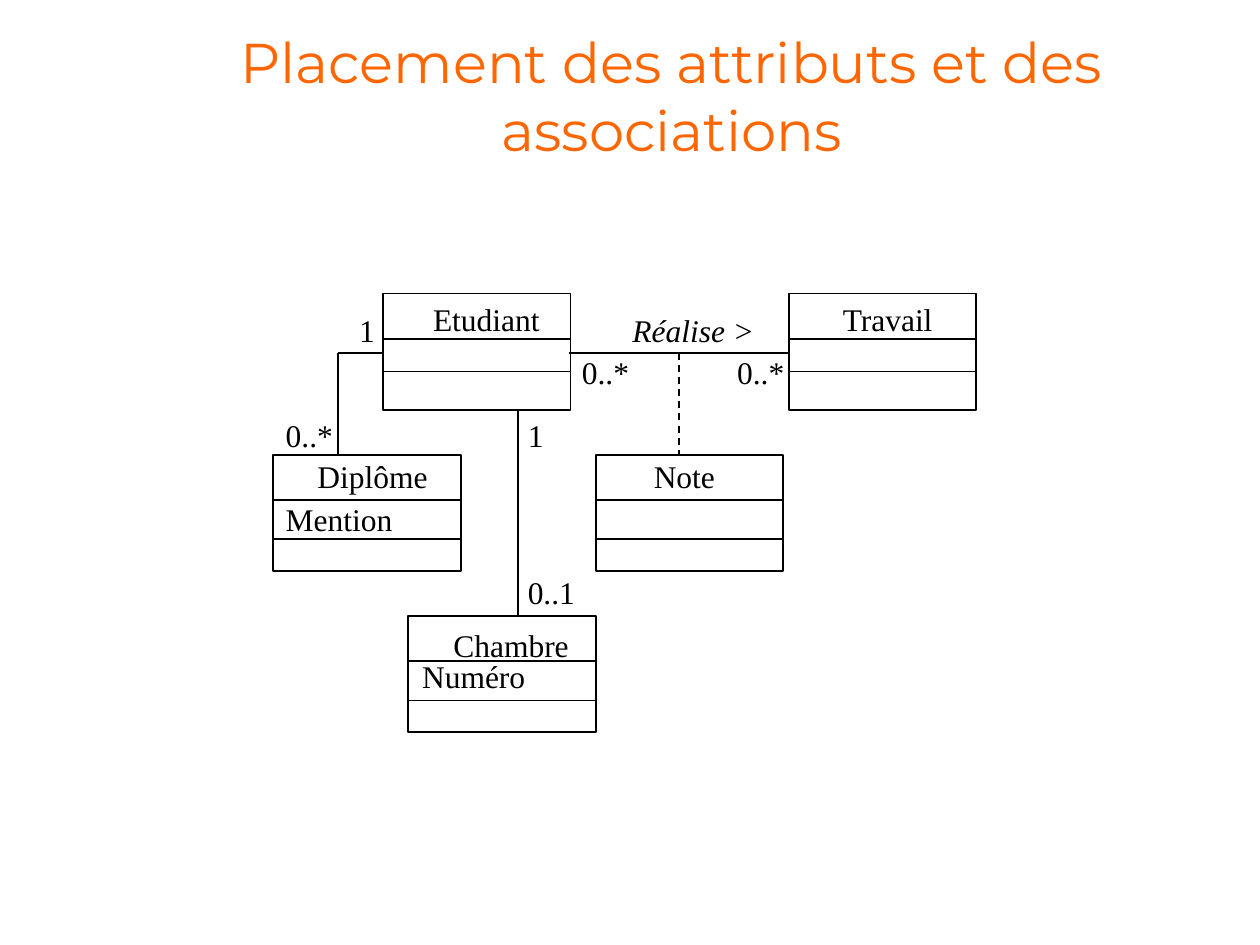
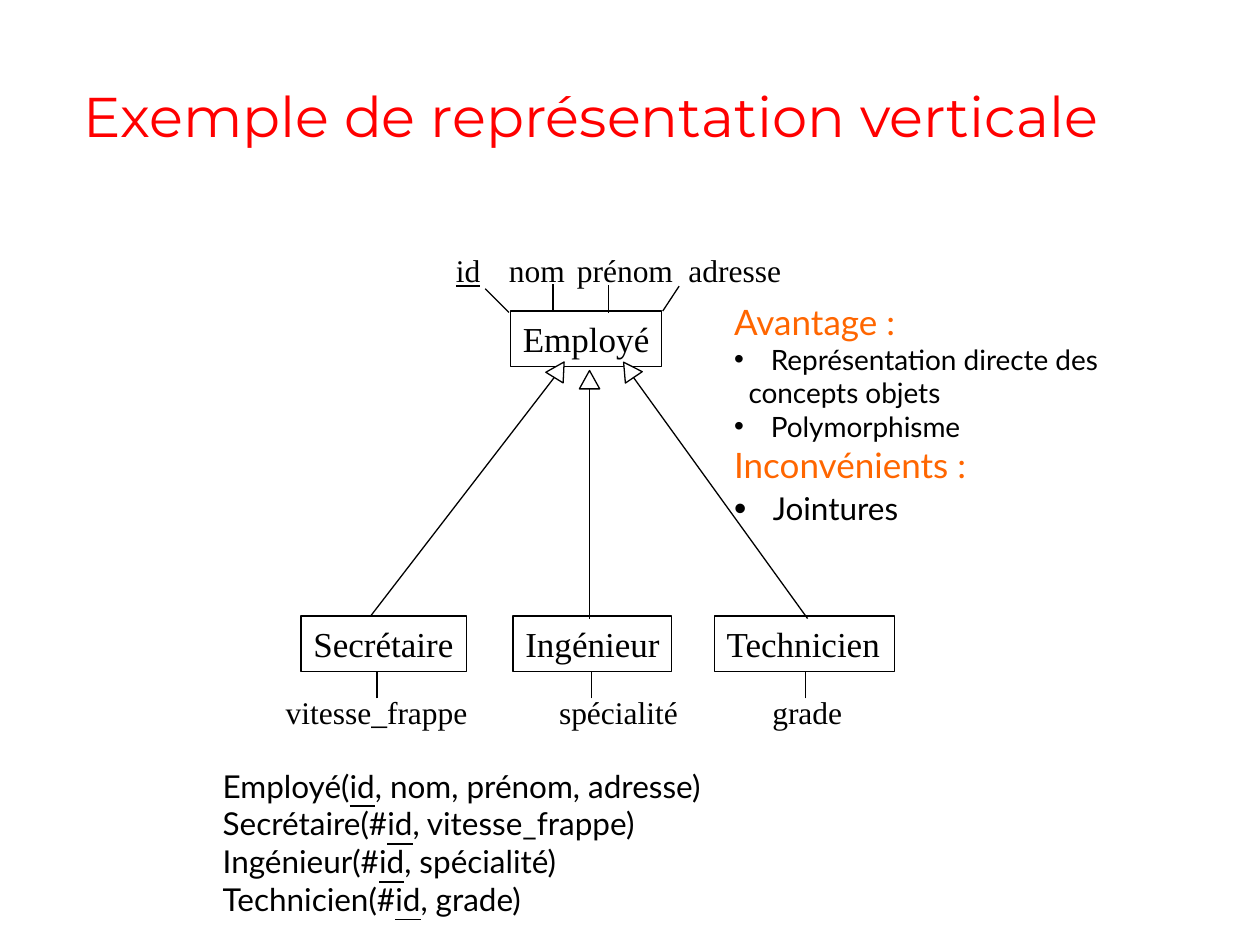
from dataclasses import dataclass

from lxml import etree
from pptx import Presentation
from pptx.dml.color import RGBColor
from pptx.enum.dml import MSO_LINE
from pptx.enum.shapes import MSO_CONNECTOR, MSO_SHAPE
from pptx.enum.text import MSO_ANCHOR, MSO_AUTO_SIZE, PP_ALIGN
from pptx.oxml.ns import qn
from pptx.util import Cm, Pt

RECT, STRAIGHT = MSO_SHAPE.RECTANGLE, MSO_CONNECTOR.STRAIGHT
DASH, FIXED = MSO_LINE.DASH, MSO_AUTO_SIZE.NONE
TOP, BOTTOM = MSO_ANCHOR.TOP, MSO_ANCHOR.BOTTOM
LEFT, CENTER = PP_ALIGN.LEFT, PP_ALIGN.CENTER


@dataclass(frozen=True)
class Theme:
    ink: str = "000000"
    paper: str = "FFFFFF"
    orange: str = "FF6600"
    red: str = "FF0000"
    head: str = "Montserrat"
    body: str = "Lato"
    serif: str = "Times New Roman"
    title: int = 32
    large: int = 20
    text: int = 18
    small: int = 16
    thick: float = 1
    thin: float = 0.75


T = Theme()
CLASS_W, CLASS_H, HEAD_H = 3.78, 2.34, 0.91
LABEL_H, BOX_H = 1.02, 1.12


def rgb(code):
    return RGBColor.from_string(code)


# Text: parts between bars are underlined
def write(para, text, font=T.serif, size=T.text, color=T.ink, italic=None,
          align=LEFT, indent=0, bullet=0, before=0):
    para.alignment = align
    if before:
        para.space_before = Pt(before)
    props = para._p.get_or_add_pPr()
    if indent:
        props.set("marL", str(Cm(indent)))
    if bullet:
        props.set("indent", str(-Cm(indent)))
        tint = etree.SubElement(props, qn("a:buClr"))
        etree.SubElement(tint, qn("a:srgbClr"), val=T.ink)
        etree.SubElement(props, qn("a:buSzPct"), val=str(bullet * 1000))
        etree.SubElement(props, qn("a:buFont"), typeface="Arial")
        etree.SubElement(props, qn("a:buChar"), char="•")
    for i, part in enumerate(text.split("|")):
        if not part:
            continue
        run = para.add_run()
        run.text = part
        run.font.name, run.font.size = font, Pt(size)
        run.font.color.rgb = rgb(color)
        run.font.italic = italic
        if i % 2:
            run.font.underline = True


def fit(frame):
    """Keep the text on its lines, with room to spare on the right."""
    frame.word_wrap = True
    frame.auto_size = FIXED
    frame.vertical_anchor = TOP
    frame.margin_right = 0


def block(slide, x, y, w, h, lines):
    box = slide.shapes.add_textbox(Cm(x), Cm(y), Cm(w), Cm(h))
    frame = box.text_frame
    fit(frame)
    for i, (text, style) in enumerate(lines):
        para = frame.add_paragraph() if i else frame.paragraphs[0]
        write(para, text, **style)


def label(slide, text, x, y, w, **style):
    block(slide, x, y, w, LABEL_H, [(text, style)])


def add_slide(deck, text, x, y, h, color):
    slide = deck.slides.add_slide(deck.slide_layouts[5])
    title = slide.shapes.title
    title.left, title.top, title.width, title.height = Cm(x), Cm(y), Cm(21.6), Cm(h)
    frame = title.text_frame
    frame.word_wrap = True
    frame.vertical_anchor = BOTTOM
    write(frame.paragraphs[0], text, font=T.head, size=T.title, color=color, align=CENTER)
    return slide


# Lines and outlines
def line(slide, x1, y1, x2, y2, width=T.thick, dash=None):
    link = slide.shapes.add_connector(STRAIGHT, Cm(x1), Cm(y1), Cm(x2), Cm(y2))
    link.line.color.rgb = rgb(T.ink)
    link.line.width = Pt(width)
    if dash:
        link.line.dash_style = dash
    etree.SubElement(link._element.spPr, qn("a:effectLst"))


def paint(shape, width, fill=None):
    shape.shadow.inherit = False
    if fill:
        shape.fill.solid()
        shape.fill.fore_color.rgb = rgb(fill)
    else:
        shape.fill.background()
    shape.line.color.rgb = rgb(T.ink)
    shape.line.width = Pt(width)


def rect(slide, x, y, w, h, width, fill=None):
    shape = slide.shapes.add_shape(RECT, Cm(x), Cm(y), Cm(w), Cm(h))
    paint(shape, width, fill)
    return shape


def uml(slide, x, y, split, name, dx, dy, w):
    """Class with a name and two compartments."""
    rect(slide, x, y, CLASS_W, CLASS_H, T.thick, T.paper)
    for drop in (HEAD_H, split):
        line(slide, x, y + drop, x + CLASS_W, y + drop)
    label(slide, name, x + dx, y + dy, w)


def entity(slide, name, x, y, w):
    shape = rect(slide, x, y, w, BOX_H, T.thin)
    fit(shape.text_frame)
    write(shape.text_frame.paragraphs[0], name, size=T.large)


def tip(slide, x, y, turn):
    """Hollow triangle that marks inheritance."""
    w, h = 0.41, 0.37
    pen = slide.shapes.build_freeform(Cm(x + w / 2), Cm(y))
    pen.add_line_segments([(Cm(x + w), Cm(y + h)), (Cm(x), Cm(y + h))], close=True)
    shape = pen.convert_to_shape()
    paint(shape, 0, T.paper)
    shape.rotation = turn


def links(deck):
    slide = add_slide(deck, "Placement des attributs et des associations",
                      2.74, 0.43, 2.97, T.orange)
    # Classes, on three equal rows
    rows = [5.92 + 3.25 * i for i in range(3)]
    for x, row, split, name, dx, dy, w in (
            (5.51, 1, 1.7, "Diplôme", 0.64, -0.08, 2.72),
            (15.9, 0, 1.57, "Travail", 0.84, 0, 2.34),
            (7.72, 0, 1.57, "Etudiant", 0.76, 0, 2.64),
            (12.01, 1, 1.7, "Note", 0.92, -0.08, 1.73),
            (8.23, 2, 1.7, "Chambre", 0.66, 0.08, 2.82)):
        uml(slide, x, rows[row], split, name, dx, dy, w)

    # Associations
    mid = 7.11
    line(slide, 11.48, mid, 15.9, mid)
    line(slide, 13.69, mid, 13.69, rows[1], dash=DASH)
    line(slide, 10.44, rows[0] + CLASS_H, 10.44, rows[2])
    line(slide, 7.72, mid, 6.81, mid)
    line(slide, 6.81, mid, 6.81, rows[1])

    # Attributes, role and multiplicities
    label(slide, "Réalise >", 12.5, 6.15, 2.95, italic=True)
    for text, x, y, w in (
            ("Numéro", 8.26, 13.13, 2.59), ("Mention", 5.51, 9.96, 2.64),
            ("0..*", 11.48, 6.99, 1.45), ("0..*", 14.61, 6.99, 1.45),
            ("1", 10.39, 8.26, 0.81), ("0..1", 10.39, 11.43, 1.45),
            ("0..*", 5.51, 8.26, 1.45), ("1", 6.99, 6.15, 0.81)):
        label(slide, text, x, y, w)


def tree(deck):
    slide = add_slide(deck, "Exemple de représentation verticale",
                      1.12, 0.64, 2.49, T.red)
    # Parent and children
    base = 12.42
    for name, x, y, w in (
            ("Secrétaire", 6.07, base, 3.33), ("Ingénieur", 10.34, base, 3.2),
            ("Technicien", 14.4, base, 3.63), ("Employé", 10.29, 6.27, 3.05)):
        entity(slide, name, x, y, w)

    # Attributes of the parent
    for ends in ((10.26, 6.3, 9.78, 5.82), (11.15, 6.27, 11.15, 5.72),
                 (12.27, 6.3, 12.27, 5.74), (13.36, 6.27, 13.69, 5.77)):
        line(slide, *ends, width=T.thin)
    for text, x, w in (("|id|", 8.94, 0.99), ("nom", 10.01, 1.63),
                       ("prénom", 11.38, 2.44), ("adresse", 13.63, 2.36)):
        label(slide, text, x, 4.93, w)

    # Attributes of the children
    leaves = (("vitesse_frappe", 5.51, 4.17), ("spécialité", 11.02, 2.9),
              ("grade", 15.32, 1.91))
    for i, (text, x, w) in enumerate(leaves):
        stem = 7.6 + 4.32 * i
        line(slide, stem, 14.08, stem, base + BOX_H, width=T.thin)
        label(slide, text, x, 13.85, w)

    # Inheritance
    for ends in ((7.47, base, 11.28, 7.47), (11.89, 12.47, 11.89, 7.85),
                 (16.28, 12.47, 12.67, 7.47)):
        line(slide, *ends, width=T.thin)
    for x, y, turn in ((11.07, 7.27, 31.7), (11.68, 7.47, 0), (12.47, 7.27, 326)):
        tip(slide, x, y, turn)

    # Relations
    plain = dict(font=T.body)
    block(slide, 4.24, 15.33, 11.1, 3.3, [(text, plain) for text in (
        "Employé(|id|, nom, prénom, adresse)", "Secrétaire(#|id|, vitesse_frappe)",
        "Ingénieur(#|id|, spécialité)", "Technicien(#|id|, grade)")])

    # Pros and cons
    head = dict(font=T.body, size=T.large, color=T.orange)
    more = dict(font=T.body, size=T.small, indent=0.29)
    item = dict(more, indent=0.74, bullet=100)
    last = dict(item, size=T.text, indent=0.78, bullet=111, before=2.4)
    block(slide, 14.55, 5.93, 8.13, 4.83, [
        ("Avantage :", head), ("Représentation directe des", item),
        ("concepts objets", more), ("Polymorphisme", item),
        ("Inconvénients :", head), ("Jointures", last)])


def main():
    deck = Presentation()
    deck.slide_width, deck.slide_height = Cm(25.4), Cm(19.05)
    links(deck)
    tree(deck)
    deck.save("out.pptx")


if __name__ == "__main__":
    main()
